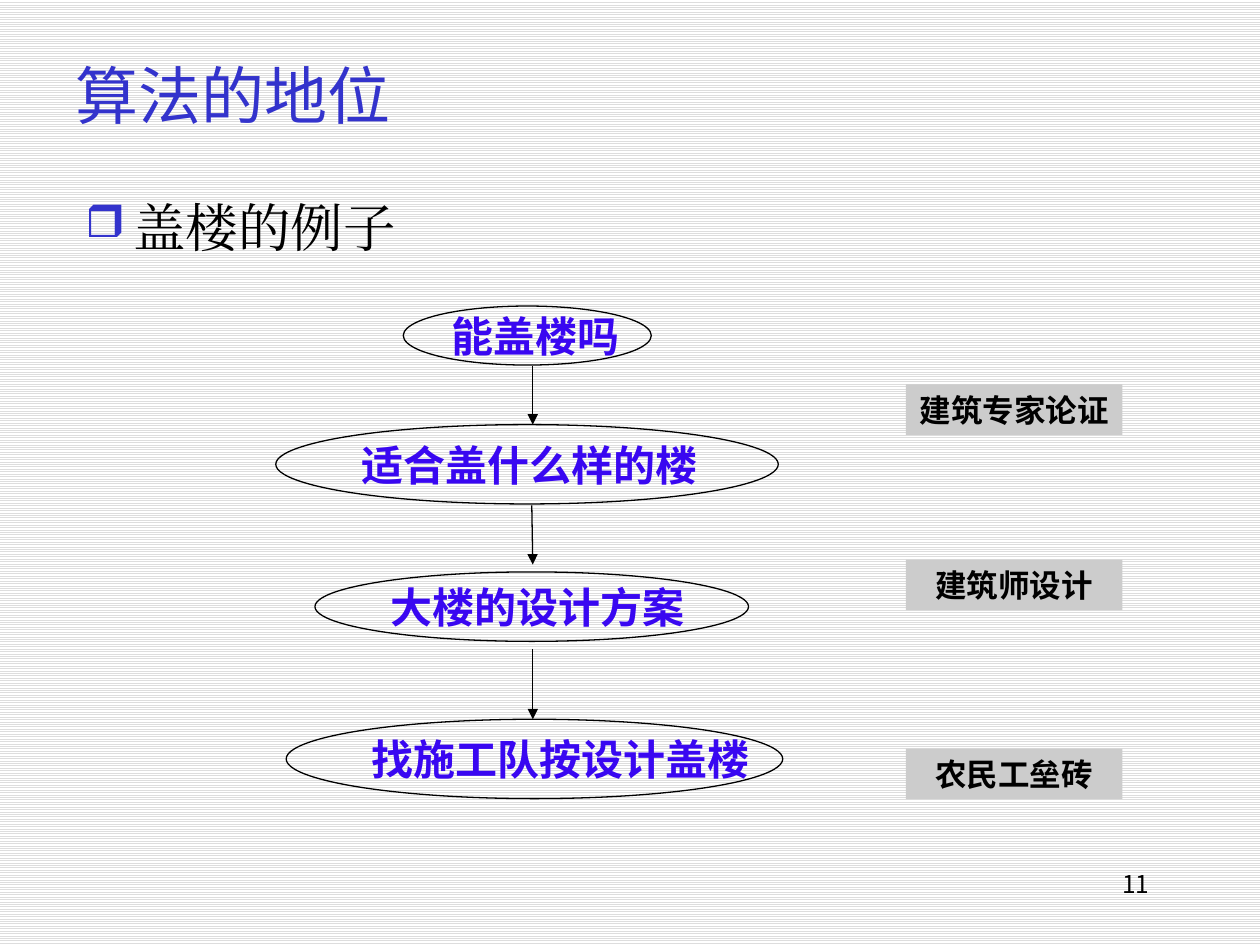
from typing import NamedTuple

from lxml import etree
from pptx import Presentation
from pptx.dml.color import RGBColor
from pptx.enum.dml import MSO_PATTERN
from pptx.enum.shapes import MSO_CONNECTOR, MSO_SHAPE
from pptx.enum.text import MSO_ANCHOR, PP_ALIGN
from pptx.oxml.ns import qn
from pptx.util import Cm, Pt

BLACK = RGBColor(0x00, 0x00, 0x00)
WHITE = RGBColor(0xFF, 0xFF, 0xFF)
STRIPE = RGBColor(0xDD, 0xDD, 0xDD)
GREY = RGBColor(0xCC, 0xCC, 0xCC)
BLUE = RGBColor(0x33, 0x33, 0xCC)
VIOLET = RGBColor(0x39, 0x07, 0xF1)

OVAL, RECTANGLE = MSO_SHAPE.OVAL, MSO_SHAPE.RECTANGLE
STRAIGHT = MSO_CONNECTOR.STRAIGHT
LEFT, CENTER, RIGHT = PP_ALIGN.LEFT, PP_ALIGN.CENTER, PP_ALIGN.RIGHT
TOP, MIDDLE = MSO_ANCHOR.TOP, MSO_ANCHOR.MIDDLE
STRIPES = MSO_PATTERN.LIGHT_HORIZONTAL

SANS = "Noto Sans CJK SC"
INDENT = 0.97


class Area(NamedTuple):
    left: float
    top: float
    width: float
    height: float

    def lengths(self) -> list:
        return [Cm(value) for value in self]


class Style(NamedTuple):
    size: int
    color: RGBColor
    font: str = SANS
    bold: bool = False
    align: PP_ALIGN = LEFT
    anchor: MSO_ANCHOR = TOP
    wrap: bool = True
    hanging: bool = False


class Step(NamedTuple):
    text: str
    area: Area


class Arrow(NamedTuple):
    start_x: float
    start_y: float
    end_x: float
    end_y: float


TITLE = Style(36, BLUE, "Noto Sans CJK JP", anchor=MIDDLE)
BODY = Style(30, BLACK, "Times New Roman", hanging=True)
NUMBER = Style(14, BLACK, align=RIGHT)
STEP = Style(24, VIOLET, bold=True, anchor=MIDDLE, wrap=False, hanging=True)
ROLE = Style(18, BLACK, bold=True, align=CENTER, anchor=MIDDLE, wrap=False)

STEPS = [
    Step("能盖楼吗", Area(8.13, 6.17, 5, 1.19)),
    Step("适合盖什么样的楼", Area(5.56, 8.56, 10.13, 1.6)),
    Step("大楼的设计方案", Area(6.35, 11.53, 8.74, 1.4)),
    Step("找施工队按设计盖楼", Area(5.77, 14.5, 10.01, 1.6)),
]
ARROWS = [
    Arrow(10.74, 7.37, 10.74, 8.56),
    Arrow(10.72, 10.19, 10.74, 11.38),
    Arrow(10.74, 13.08, 10.74, 14.5),
]
ROLES = [
    Step("建筑专家论证", Area(18.26, 7.75, 4.37, 1.02)),
    Step("建筑师设计", Area(18.26, 11.28, 4.37, 1.02)),
    Step("农民工垒砖", Area(18.26, 15.09, 4.37, 1.02)),
]


def write(shape, text: str, style: Style, bullet: str = "") -> None:
    frame = shape.text_frame
    frame.word_wrap = style.wrap
    frame.vertical_anchor = style.anchor
    para = frame.paragraphs[0]
    para.alignment = style.align
    properties = para._p.get_or_add_pPr()
    if style.hanging:
        properties.set("marL", str(Cm(INDENT)))
        properties.set("indent", str(-Cm(INDENT)))
    if bullet:
        color = etree.SubElement(properties, qn("a:buClr"))
        etree.SubElement(color, qn("a:srgbClr"), val=str(BLUE))
        etree.SubElement(properties, qn("a:buSzPct"), val="85000")
        etree.SubElement(properties, qn("a:buChar"), char=bullet)
    span = para.add_run()
    span.text = text
    font = span.font
    font.size, font.bold, font.name = Pt(style.size), style.bold, style.font
    font.color.rgb = style.color
    # East Asian glyphs need their own typeface entry
    etree.SubElement(span._r.get_or_add_rPr(), qn("a:ea"), typeface=style.font)


def add_text(page, area: Area, text: str, style: Style, bullet: str = "") -> None:
    write(page.shapes.add_textbox(*area.lengths()), text, style, bullet)


def add_step(page, step: Step) -> None:
    oval = page.shapes.add_shape(OVAL, *step.area.lengths())
    oval.shadow.inherit = False
    oval.fill.background()
    oval.line.color.rgb = BLACK
    oval.line.width = Pt(0.75)
    write(oval, step.text, STEP)


def add_role(page, role: Step) -> None:
    box = page.shapes.add_shape(RECTANGLE, *role.area.lengths())
    box.shadow.inherit = False
    box.fill.solid()
    box.fill.fore_color.rgb = GREY
    box.line.fill.background()
    write(box, role.text, ROLE)


def add_arrow(page, arrow: Arrow) -> None:
    connector = page.shapes.add_connector(STRAIGHT, *[Cm(value) for value in arrow])
    connector.line.color.rgb = BLACK
    connector.line.width = Pt(0.75)
    etree.SubElement(connector.line._get_or_add_ln(), qn("a:tailEnd"), type="triangle")
    etree.SubElement(connector._element.spPr, qn("a:effectLst"))


def main() -> None:
    deck = Presentation()
    deck.slide_width, deck.slide_height = Cm(25.4), Cm(19.05)
    page = deck.slides.add_slide(deck.slide_layouts[6])

    # Striped background
    fill = page.background.fill
    fill.patterned()
    fill.pattern = STRIPES
    fill.fore_color.rgb = STRIPE
    fill.back_color.rgb = WHITE

    # Title, body and page number
    add_text(page, Area(1.27, 0.64, 21.59, 2.54), "算法的地位", TITLE)
    add_text(page, Area(1.47, 3.81, 21.59, 13.54), "盖楼的例子", BODY, "❒")
    add_text(page, Area(17.5, 17.4, 5.92, 1.32), "11", NUMBER)

    # Flow of steps with the people in charge
    for step in STEPS:
        add_step(page, step)
    for arrow in ARROWS:
        add_arrow(page, arrow)
    for role in ROLES:
        add_role(page, role)

    deck.save("out.pptx")


if __name__ == "__main__":
    main()
